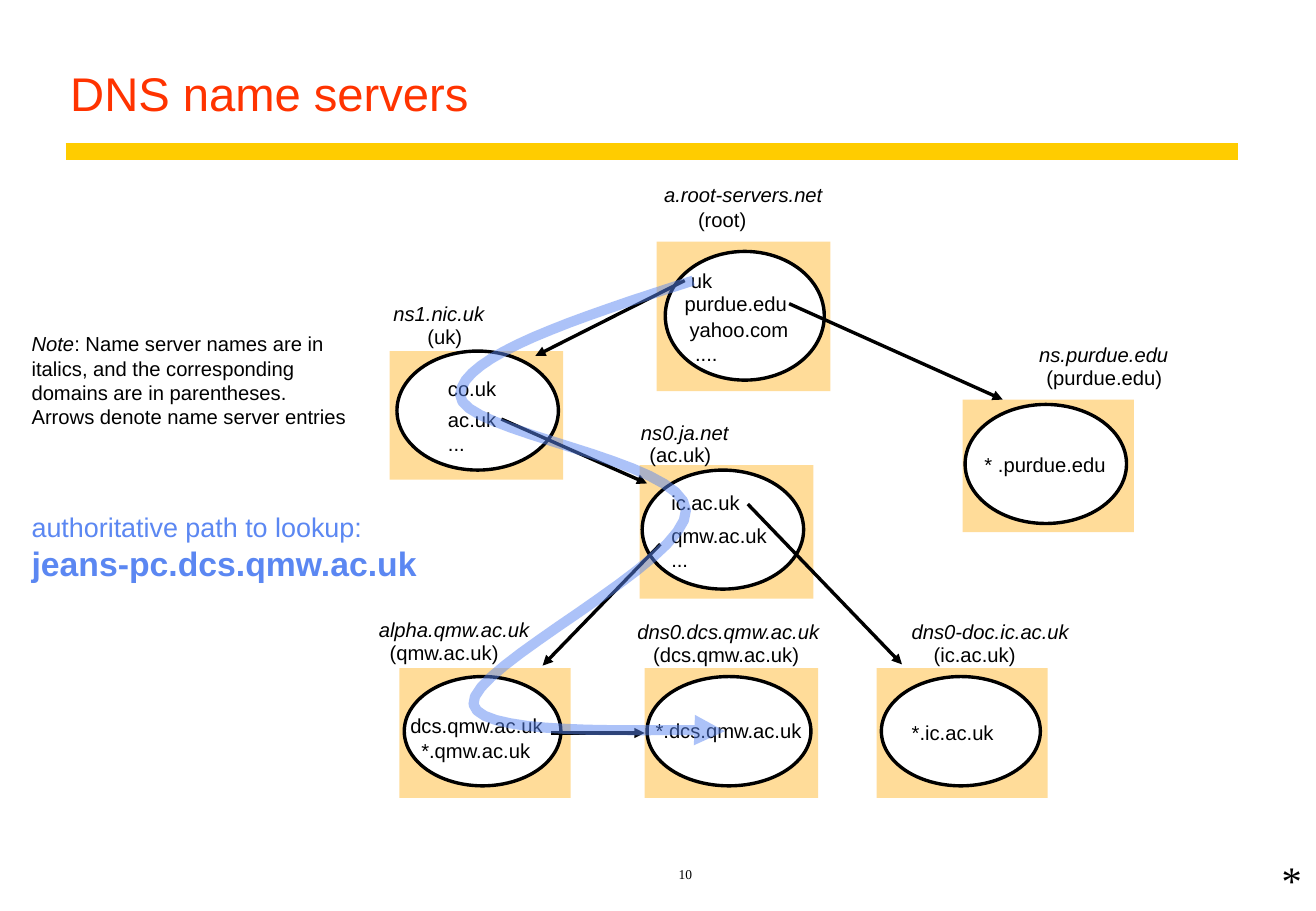
from lxml.etree import SubElement as Sub
from pptx import Presentation
from pptx.dml.color import RGBColor as Rgb
from pptx.enum.shapes import MSO_CONNECTOR as Conn, MSO_SHAPE as Shape
from pptx.enum.text import MSO_ANCHOR as Anchor, MSO_AUTO_SIZE as Auto, PP_ALIGN as Align
from pptx.oxml.ns import qn
from pptx.util import Inches, Pt

HUES = {"title": "FF3300", "rule": "FFCC00", "box": "FFDC99",
        "oval": "FFFFFF", "ink": "000000", "trail": "5B87F2"}
SANS, SERIF = "Arial", "Times New Roman"
SLACK = 2
FINE = 100

# Each server: name label, domain label, box, oval, entries
SERVERS = {
    "root": (("a.root-servers.net", 54.7, 15, 13.1), ("(root)", 57.5, 17.1, 4),
             (54.1, 19.9, 14.3, 12.3), (54.8, 20.7, 13.1, 10.6),
             [("uk", 56.9, 22.1, 1.8), ("purdue.edu", 56.4, 24, 8.4),
              ("yahoo.com\n ....", 56.8, 26.1, 8.2)]),
    "uk": (("ns1.nic.uk", 32.4, 24.8, 7.5), ("(uk)", 35.2, 26.7, 2.9),
           (32.1, 28.9, 14.3, 10.6), (32.7, 28.9, 13.3, 9.8),
           [("co.uk", 36.9, 31, 4), ("ac.uk\n...", 36.9, 33.5, 4)]),
    "purdue": (("ns.purdue.edu", 85.6, 28.2, 10.7), ("(purdue.edu)", 86.2, 30.1, 9.6),
               (79.3, 32.9, 14.1, 10.9), (79.5, 33.3, 13.3, 9.8),
               [("* .purdue.edu", 81.1, 37.2, 10)]),
    "ac": (("ns0.ja.net", 52.8, 34.6, 7.2), ("(ac.uk)", 53.5, 36.4, 5.1),
           (52.7, 38.3, 14.3, 11), (52.9, 38.7, 13.3, 9.8),
           [("ic.ac.uk", 55.3, 40.4, 5.7), ("qmw.ac.uk\n...", 55.3, 43.1, 8)]),
    "qmw": (("alpha.qmw.ac.uk", 31.2, 50.8, 12.5), ("(qmw.ac.uk)", 32.1, 52.7, 9.1),
            (32.9, 55, 14.1, 10.7), (33.3, 55.7, 12.9, 9),
            [("dcs.qmw.ac.uk", 33.8, 58.7, 11), ("*.qmw.ac.uk", 34.7, 60.8, 9.1)]),
    "dcs": (("dns0.dcs.qmw.ac.uk", 52.5, 51, 15.1), ("(dcs.qmw.ac.uk)", 53.8, 52.9, 12.1),
            (53.1, 55, 14.3, 10.7), (53.3, 55.7, 13.5, 9),
            [("*.dcs.qmw.ac.uk", 54, 59.1, 12.1)]),
    "ic": (("dns0-doc.ic.ac.uk", 75.1, 51, 13), ("(ic.ac.uk)", 76.9, 52.9, 6.8),
           (72.2, 55, 14.1, 10.7), (72.6, 55.7, 13.1, 9),
           [("*.ic.ac.uk", 75.1, 59.3, 6.8)]),
}
ARROWS = [(56.4, 23.1, 44.1, 29.3), (65, 25, 82.6, 32.9), (41.3, 34.5, 53.3, 39.8),
          (54.4, 44.8, 44.7, 54.8), (61.6, 41.5, 74.3, 54.7)]
TRAIL = [[(57.1, 23.1), (47.5, 26.2), (38, 29.3), (37.9, 32.5)],
         [(37.9, 32.5), (37.8, 35.6), (56.3, 37.8), (56.5, 42)],
         [(56.5, 42), (56.7, 46.3), (38.5, 54.9), (39, 58)],
         [(39, 58), (39.6, 61), (56.3, 59.8), (59.7, 60.2)]]


def curve(ends, steps=16):
    """Return the points along one cubic curve, without its start."""
    a, b, c, d = ends
    for t in (i / steps for i in range(1, steps + 1)):
        u = 1 - t
        yield tuple(FINE * (u**3 * p + 3 * u * u * t * q + 3 * u * t * t * r + t**3 * s)
                    for p, q, r, s in zip(a, b, c, d))


class Deck:
    """Hold the style and the slide on a grid of tenth-inch columns and rows."""

    def __init__(self, cols, rows):
        self.prs = Presentation()
        self.prs.slide_width, self.prs.slide_height = self.grid(cols, rows)
        self.slide = self.prs.slides.add_slide(self.prs.slide_layouts[6])
        self.shapes = self.slide.shapes

    def grid(self, *cells):
        """Turn grid cells into lengths."""
        return [Inches(cell / 10) for cell in cells]

    def hue(self, name):
        """Look up a colour."""
        return Rgb.from_string(HUES[name])

    def pen(self, item, hue, width, tip=False):
        """Set the line of an item, with an arrowhead if asked."""
        item.line.color.rgb = self.hue(hue)
        item.line.width = Pt(width)
        if tip:
            Sub(item.line._get_or_add_ln(), qn("a:tailEnd"), type="triangle")

    def shape(self, kind, area, fill, edge=None):
        """Add a filled preset shape."""
        item = self.shapes.add_shape(kind, *self.grid(*area))
        item.shadow.inherit = False
        item.fill.solid()
        item.fill.fore_color.rgb = self.hue(fill)
        if edge:
            self.pen(item, edge, 2)
        else:
            item.line.fill.background()
        return item

    def link(self, ends, hue="ink", width=2, tip=True, box=None):
        """Add a straight line, joined to the left of a box if given."""
        item = self.shapes.add_connector(Conn.STRAIGHT, *self.grid(*ends))
        self.pen(item, hue, width, tip)
        Sub(item._element.spPr, qn("a:effectLst"))
        if box is not None:
            item.end_connect(box, 1)

    def text(self, area, paras, size=12, hue="ink", font=SANS, wrap=False,
             pad=(0, 0), anchor=Anchor.TOP, align=Align.LEFT, space=None):
        """Add a text box from paragraphs of (words, style) runs."""
        frame = self.shapes.add_textbox(*self.grid(*area)).text_frame
        frame.word_wrap = wrap
        frame.auto_size = Auto.NONE if wrap else Auto.SHAPE_TO_FIT_TEXT
        frame.vertical_anchor = anchor
        frame.margin_left = frame.margin_right = Inches(pad[0])
        frame.margin_top = frame.margin_bottom = Inches(pad[1])
        for i, runs in enumerate(paras):
            para = frame.add_paragraph() if i else frame.paragraphs[0]
            para.alignment = align
            para.line_spacing = space
            for words, style in runs:
                run = para.add_run()
                run.text = words
                run.font.name = font
                run.font.size = Pt(style.get("size", size))
                run.font.italic = style.get("italic")
                run.font.bold = style.get("bold")
                run.font.color.rgb = self.hue(hue)

    def label(self, words, x, y, w, **style):
        """Add a small label, one paragraph a line, with room to spare."""
        lines = words.split("\n")
        self.text((x, y, w + SLACK, 2 * len(lines)),
                  [[(line, style)] for line in lines], wrap=True)

    def server(self, name, zone, box, oval, items):
        """Add a name server and return its box."""
        base = self.shape(Shape.RECTANGLE, box, "box")
        self.shape(Shape.OVAL, oval, "oval", "ink")
        self.label(*name, italic=True)
        for item in (zone, *items):
            self.label(*item)
        return base

    def trail(self, parts):
        """Add the half-clear curved arrow."""
        pts = [pt for part in parts for pt in curve(part)]
        x, y = parts[0][0]
        form = self.shapes.build_freeform(x * FINE, y * FINE, scale=Inches(0.1) / FINE)
        form.add_line_segments(pts, close=False)
        item = form.convert_to_shape()
        item.shadow.inherit = False
        item.fill.background()
        self.pen(item, "trail", 6, True)
        tint = item._element.spPr.find(".//" + qn("a:srgbClr"))
        Sub(tint, qn("a:alpha"), val="50000")


def main():
    """Build the slide."""
    deck = Deck(108.4, 75)
    deck.link((5.4, 12.5, 102, 12.5), "rule", 10, False)
    deck.text((4.8, 2.5, 97.2, 8), [[("DNS name servers", {})]], 28, "title",
              wrap=True, pad=(0.1, 0.05), anchor=Anchor.BOTTOM, space=0.9)
    deck.text((23.5, 70, 65.9, 3.1), [[("10", {})]], 8, font=SERIF, wrap=True,
              pad=(0.1, 0.05), anchor=Anchor.BOTTOM, align=Align.CENTER)
    deck.text((2.6, 27.3, 27.1, 8), [
        [("Note", {"italic": True}),
         (": Name server names are in italics, and the corresponding "
          "domains are in parentheses.", {})],
        [("Arrows denote name server entries", {})]], wrap=True)
    boxes = {key: deck.server(*data) for key, data in SERVERS.items()}
    for ends in ARROWS:
        deck.link(ends)
    deck.link((45.4, 60.35, 53.1, 60.35), box=boxes["dcs"])
    deck.text((2.6, 42, 31.9, 6), [
        [("authoritative path to lookup:", {})],
        [("jeans-pc.dcs.qmw.ac.uk", {"size": 20, "bold": True})]], 16, "trail")
    deck.trail(TRAIL)
    deck.text((104.6, 69.9, 3.6, 5), [[("*", {})]], 24, font=SERIF, pad=(0.1, 0.05))
    deck.prs.save("out.pptx")


if __name__ == "__main__":
    main()
